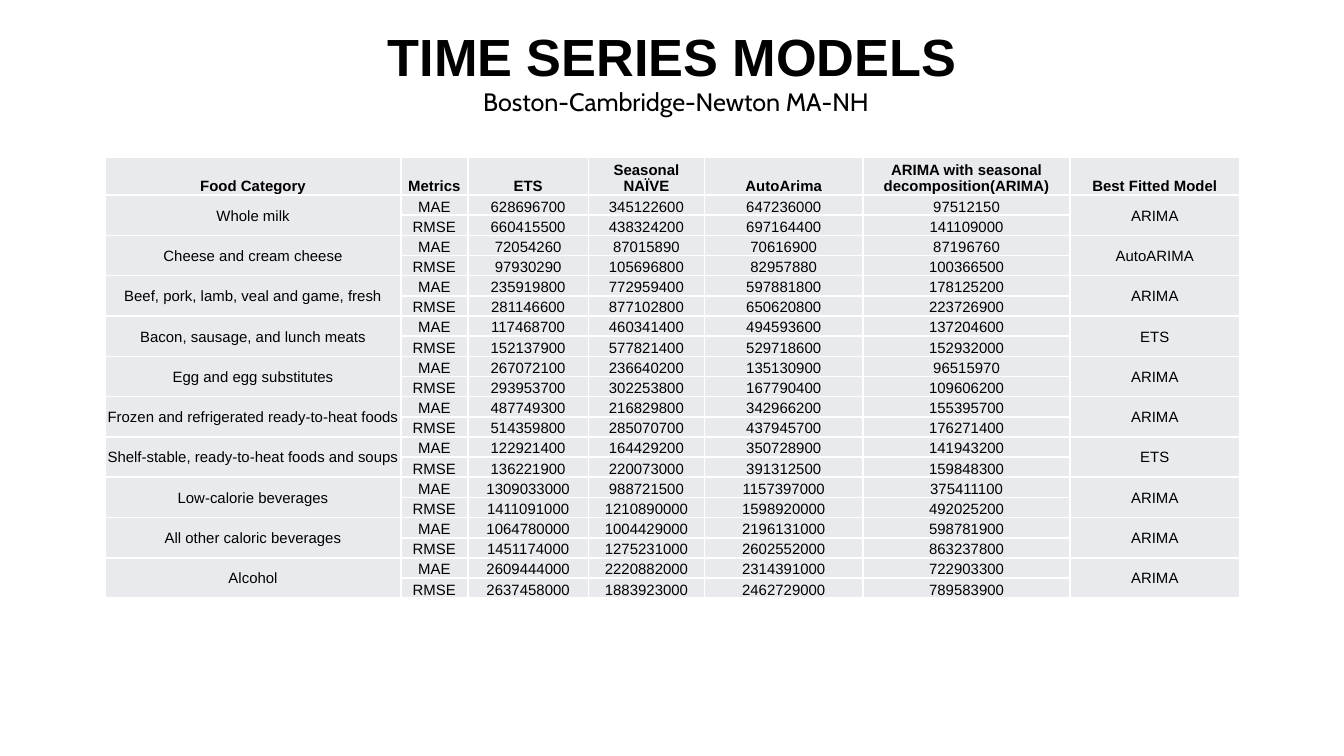
from dataclasses import dataclass

from lxml.etree import SubElement
from pptx import Presentation
from pptx.dml.color import RGBColor
from pptx.enum.text import MSO_ANCHOR, PP_ALIGN
from pptx.oxml.ns import qn
from pptx.util import Pt


@dataclass(frozen=True)
class Theme:
    text: str = "000000"
    cell: str = "E8EAED"
    border: str = "FFFFFF"
    title_size: float = 28
    subtitle_size: float = 13.5
    table_size: float = 8
    font: str = "Arial"
    subtitle_font: str = "Cabin"


theme = Theme()


def write(frame, text, size, font=theme.font, bold=False, spacing=None):
    para = frame.paragraphs[0]
    para.alignment = PP_ALIGN.CENTER
    if spacing:
        para.line_spacing = spacing
    span = para.add_run()
    span.text = text
    span.font.size = Pt(size)
    span.font.name = font
    span.font.bold = bold
    span.font.color.rgb = RGBColor.from_string(theme.text)


def style_cell(cell, anchor):
    cell.margin_left = cell.margin_right = cell.margin_top = Pt(0.7)
    cell.margin_bottom = Pt(0)
    cell.vertical_anchor = anchor
    properties = cell._tc.get_or_add_tcPr()
    for side in ("a:lnL", "a:lnR", "a:lnT", "a:lnB"):
        line = SubElement(properties, qn(side), w=str(Pt(1)))
        fill = SubElement(line, qn("a:solidFill"))
        SubElement(fill, qn("a:srgbClr"), val=theme.border)
    cell.fill.solid()
    cell.fill.fore_color.rgb = RGBColor.from_string(theme.cell)


deck = Presentation()
deck.slide_width, deck.slide_height = Pt(720), Pt(405)
page = deck.slides.add_slide(deck.slide_layouts[6])

title = page.shapes.add_textbox(Pt(27.36), Pt(5.76), Pt(665.28), Pt(51.84)).text_frame
title.word_wrap = True
title.vertical_anchor = MSO_ANCHOR.MIDDLE
write(title, "TIME SERIES MODELS", size=theme.title_size, bold=True, spacing=0.9)

subtitle = page.shapes.add_textbox(Pt(31.68), Pt(42.48), Pt(660.96), Pt(23.76)).text_frame
subtitle.word_wrap = True
write(subtitle, "Boston-Cambridge-Newton MA-NH", size=theme.subtitle_size,
      font=theme.subtitle_font)

headers = ["Food Category", "Metrics", "ETS", "Seasonal NAÏVE", "AutoArima",
           "ARIMA with seasonal decomposition(ARIMA)", "Best Fitted Model"]
column_widths = [158.2, 36, 64.6, 62.2, 84.9, 111, 90.7]
header_height, row_height = 20.1, 10.8

# Category, MAE per model, RMSE per model, best model
results = [
    ("Whole milk", [628696700, 345122600, 647236000, 97512150],
     [660415500, 438324200, 697164400, 141109000], "ARIMA"),
    ("Cheese and cream cheese", [72054260, 87015890, 70616900, 87196760],
     [97930290, 105696800, 82957880, 100366500], "AutoARIMA"),
    ("Beef, pork, lamb, veal and game, fresh", [235919800, 772959400, 597881800, 178125200],
     [281146600, 877102800, 650620800, 223726900], "ARIMA"),
    ("Bacon, sausage, and lunch meats", [117468700, 460341400, 494593600, 137204600],
     [152137900, 577821400, 529718600, 152932000], "ETS"),
    ("Egg and egg substitutes", [267072100, 236640200, 135130900, 96515970],
     [293953700, 302253800, 167790400, 109606200], "ARIMA"),
    ("Frozen and refrigerated ready-to-heat foods", [487749300, 216829800, 342966200, 155395700],
     [514359800, 285070700, 437945700, 176271400], "ARIMA"),
    ("Shelf-stable, ready-to-heat foods and soups", [122921400, 164429200, 350728900, 141943200],
     [136221900, 220073000, 391312500, 159848300], "ETS"),
    ("Low-calorie beverages", [1309033000, 988721500, 1157397000, 375411100],
     [1411091000, 1210890000, 1598920000, 492025200], "ARIMA"),
    ("All other caloric beverages", [1064780000, 1004429000, 2196131000, 598781900],
     [1451174000, 1275231000, 2602552000, 863237800], "ARIMA"),
    ("Alcohol", [2609444000, 2220882000, 2314391000, 722903300],
     [2637458000, 1883923000, 2462729000, 789583900], "ARIMA"),
]

rows = [headers]
for category, mae, rmse, best in results:
    rows.append([category, "MAE", *mae, best])
    rows.append([None, "RMSE", *rmse, None])

table = page.shapes.add_table(
    len(rows), len(headers), Pt(56.5), Pt(84.4), Pt(sum(column_widths)),
    Pt(header_height + row_height * (len(rows) - 1))).table
table.first_row = table.horz_banding = False
for column, width in zip(table.columns, column_widths):
    column.width = Pt(width)
for index, row in enumerate(table.rows):
    row.height = Pt(row_height if index else header_height)

merged_columns = (0, len(headers) - 1)
for row, values in enumerate(rows):
    for column, value in enumerate(values):
        cell = table.cell(row, column)
        merged = row > 0 and column in merged_columns
        style_cell(cell, MSO_ANCHOR.MIDDLE if merged else MSO_ANCHOR.BOTTOM)
        if value is None:
            table.cell(row - 1, column).merge(cell)
        else:
            write(cell.text_frame, str(value), size=theme.table_size, bold=row == 0)

deck.save("out.pptx")
